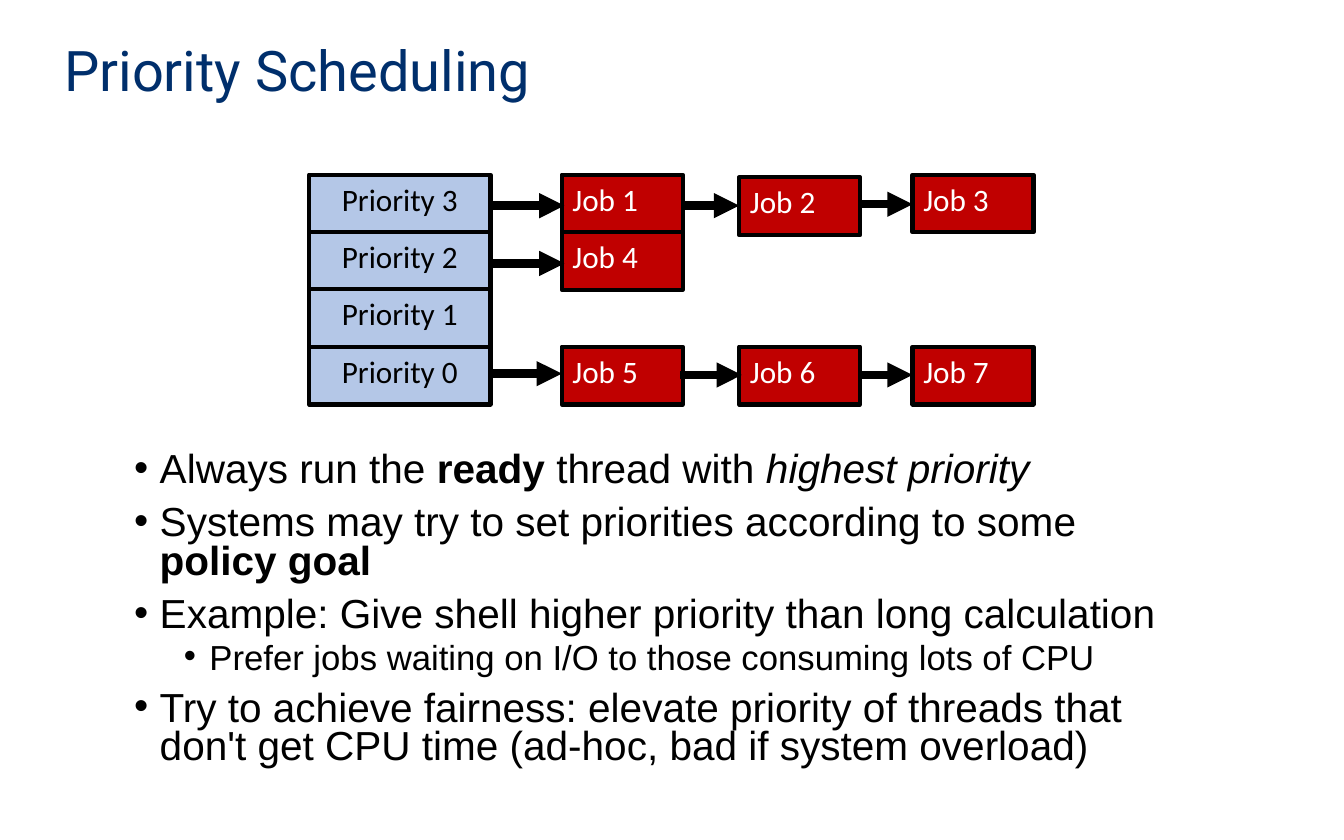
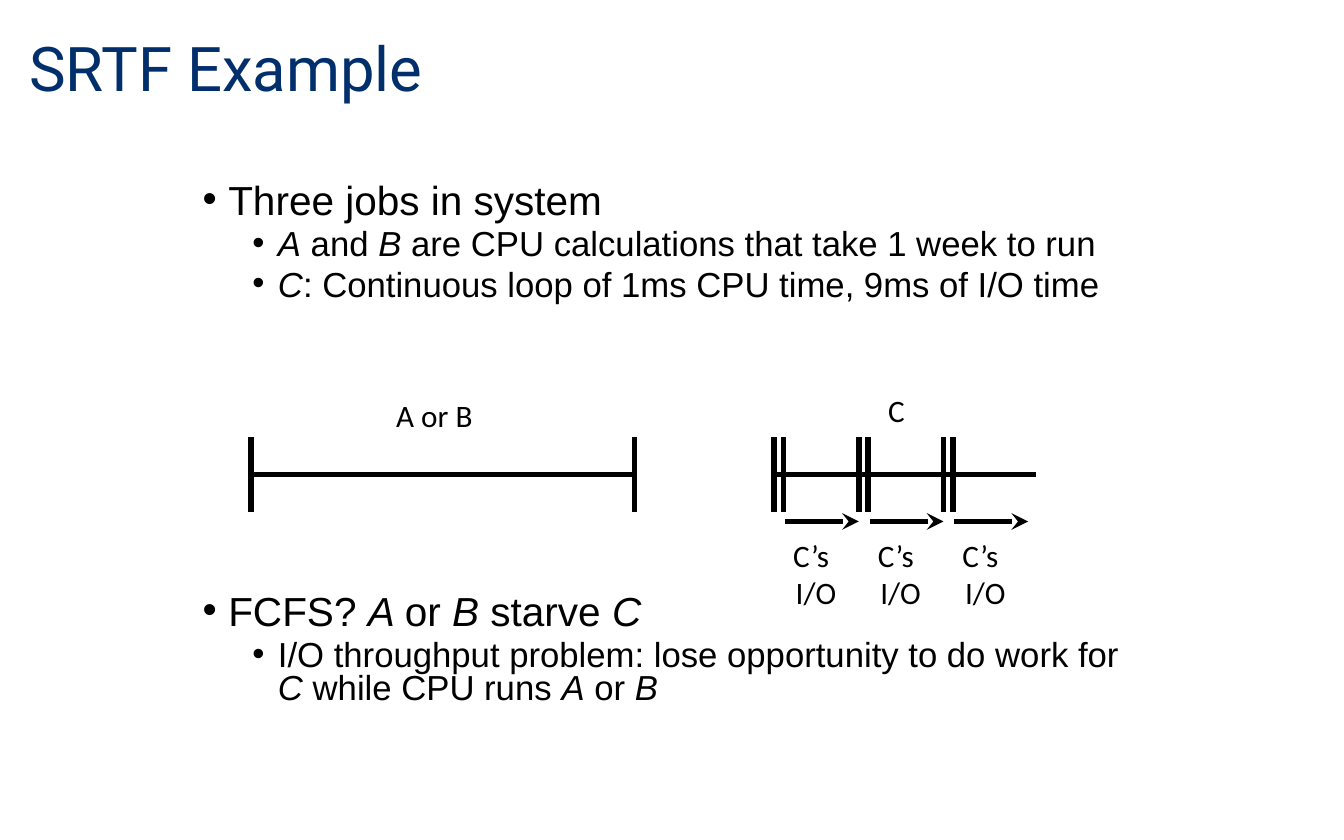
import pptx
import pptx.util
import pptx.dml.color
import pptx.enum.shapes
import pptx.enum.text
import lxml.etree
from pptx.util import Inches

NAVY = pptx.dml.color.RGBColor(0x00, 0x2F, 0x6C)
BLACK = pptx.dml.color.RGBColor(0x00, 0x00, 0x00)
WHITE = pptx.dml.color.RGBColor(0xFF, 0xFF, 0xFF)
BLUE = pptx.dml.color.RGBColor(0xB4, 0xC7, 0xE7)
RED = pptx.dml.color.RGBColor(0xC0, 0x00, 0x00)
LEFT = pptx.enum.text.PP_ALIGN.LEFT
CENTER = pptx.enum.text.PP_ALIGN.CENTER
RIGHT = pptx.enum.text.PP_ALIGN.RIGHT
NS = "{http://schemas.openxmlformats.org/drawingml/2006/main}"


def write(frame, lines, face, size, color, align=LEFT):
    for i, line in enumerate(lines):
        para = frame.paragraphs[0] if i == 0 else frame.add_paragraph()
        para.text = line
        para.alignment = align
        para.font.name = face
        para.font.size = pptx.util.Pt(size)
        para.font.color.rgb = color


def link(slide, x1, y1, x2, y2, width, head=None):
    line = slide.shapes.add_connector(
        pptx.enum.shapes.MSO_CONNECTOR.STRAIGHT,
        Inches(x1), Inches(y1), Inches(x2), Inches(y2))
    line.line.color.rgb = BLACK
    line.line.width = pptx.util.Pt(width)
    props = line._element.spPr
    if head:
        lxml.etree.SubElement(props.find(NS + "ln"), NS + "tailEnd", type=head)
    lxml.etree.SubElement(props, NS + "effectLst")


deck = pptx.Presentation()
deck.slide_width = Inches(10)
deck.slide_height = Inches(6.25)

pages = [
    ("Priority Scheduling", (0.38, 0.16, 6.53, 0.77), 30, (0.9, 3.32, 8.11, 2.88), [
        (0, 0, [("Always run the ", ""), ("ready", "b"), (" thread with ", ""),
                ("highest priority", "i")]),
        (0, 7.5, [("Systems may try to set priorities according to some ", ""),
                  ("policy goal", "b")]),
        (0, 7.5, [("Example: Give shell higher priority than long calculation", "")]),
        (1, 3.8, [("Prefer jobs waiting on I/O to those consuming lots of CPU", "")]),
        (0, 7.5, [("Try to achieve fairness: elevate priority of threads that "
                   "don't get CPU time (ad-hoc, bad if system overload)", "")]),
    ]),
    ("SRTF Example", (0.12, 0.1, 8.52, 0.86), 33, (1.41, 1.32, 7.19, 4.42), [
        (0, 0, [("Three jobs in system", "")]),
        (1, 3.8, [("A", "i"), (" and ", ""), ("B ", "i"),
                  ("are CPU calculations that take 1 week to run", "")]),
        (1, 3.8, [("C", "i"), (": Continuous loop of 1ms CPU time, 9ms of I/O time", "")]),
        (0, 156, [("FCFS? ", ""), ("A ", "i"), ("or ", ""), ("B", "i"),
                  (" starve ", ""), ("C", "i")]),
        (1, 3.8, [("I/O throughput problem: lose opportunity to do work for ", ""),
                  ("C", "i"), (" while CPU runs ", ""), ("A", "i"), (" or ", ""), ("B", "i")]),
    ]),
]

slides = []
for title, place, size, area, points in pages:
    slide = deck.slides.add_slide(deck.slide_layouts[6])
    slides.append(slide)
    frame = slide.shapes.add_textbox(*map(Inches, place)).text_frame
    frame.word_wrap = True
    frame.vertical_anchor = pptx.enum.text.MSO_ANCHOR.MIDDLE
    write(frame, [title], "Roboto", size, NAVY)
    frame.paragraphs[0].line_spacing = 0.9

    frame = slide.shapes.add_textbox(*map(Inches, area)).text_frame
    frame.word_wrap = True
    for i, (level, gap, runs) in enumerate(points):
        para = frame.paragraphs[0] if i == 0 else frame.add_paragraph()
        para.level = level
        para.line_spacing = 0.8
        para.space_before = pptx.util.Pt(gap)
        props = para._p.get_or_add_pPr()
        props.set("marL", str(Inches((0.19, 0.56)[level])))
        props.set("indent", str(Inches(-0.19)))
        lxml.etree.SubElement(props, NS + "buFont", typeface="Arial")
        lxml.etree.SubElement(props, NS + "buChar", char="•")
        para.font.name = "Arial"
        para.font.size = pptx.util.Pt((21.7, 18.6)[level])
        para.font.color.rgb = BLACK
        for text, style in runs:
            run = para.add_run()
            run.text = text
            if style == "b":
                run.font.bold = True
            if style == "i":
                run.font.italic = True

queue, chart = slides

rows = [1.3 + 1.28 / 3 * i for i in range(4)]
boxes = [(f"Priority {3 - i}", 2.3, y, 1.35, BLUE, BLACK, CENTER)
         for i, y in enumerate(rows)]
jobs = [(4.18, rows[0]), (5.5, 1.32), (6.79, rows[0]), (4.18, rows[1]),
        (4.18, rows[3]), (5.5, rows[3]), (6.79, rows[3])]
boxes += [(f"Job {i}", x, y, 0.9, RED, WHITE, LEFT)
          for i, (x, y) in enumerate(jobs, 1)]
for text, x, y, width, fill, ink, align in boxes:
    box = queue.shapes.add_shape(
        pptx.enum.shapes.MSO_SHAPE.RECTANGLE,
        Inches(x), Inches(y), Inches(width), Inches(0.43))
    box.shadow.inherit = False
    box.fill.solid()
    box.fill.fore_color.rgb = fill
    box.line.color.rgb = BLACK
    box.line.width = pptx.util.Pt(2.25)
    frame = box.text_frame
    frame.margin_left = frame.margin_right = Inches(0.08)
    frame.margin_top = frame.margin_bottom = Inches(0.04)
    frame.vertical_anchor = pptx.enum.text.MSO_ANCHOR.TOP
    write(frame, [text], "Calibri", 16.7, ink, align)

for x1, x2, y in [(3.66, 4.2, 1.53), (5.08, 5.5, 1.53), (6.4, 6.79, 1.52),
                  (3.66, 4.2, 1.96),
                  (3.65, 4.18, 2.78), (5.06, 5.52, 2.79), (6.4, 6.79, 2.79)]:
    link(queue, x1, y, x2, y, 4.5, "triangle")

labels = [(["A or B"], 2.85, 2.9, 0.84, 0.38, LEFT), (["C"], 6.46, 2.86, 0.37, 0.38, RIGHT)]
ticks = [1.87, 4.72]
for i in range(3):
    x = 5.76 + 0.63 * i
    ticks += [x, x + 0.07]
    link(chart, x + 0.08, 3.88, x + 0.63, 3.88, 3, "stealth")
    labels.append((["C’s ", "I/O"], x + 0.01, 3.94, 0.55, 0.66, RIGHT))
for x1, x2 in [(1.87, 4.72), (5.76, 7.71)]:
    link(chart, x1, 3.53, x2, 3.53, 3)
for x in ticks:
    link(chart, x, 3.25, x, 3.81, 3)
for lines, x, y, width, height, align in labels:
    frame = chart.shapes.add_textbox(
        Inches(x), Inches(y), Inches(width), Inches(height)).text_frame
    frame.word_wrap = False
    frame.auto_size = pptx.enum.text.MSO_AUTO_SIZE.SHAPE_TO_FIT_TEXT
    write(frame, lines, "Calibri", 16.7, BLACK, align)

deck.save("out.pptx")
